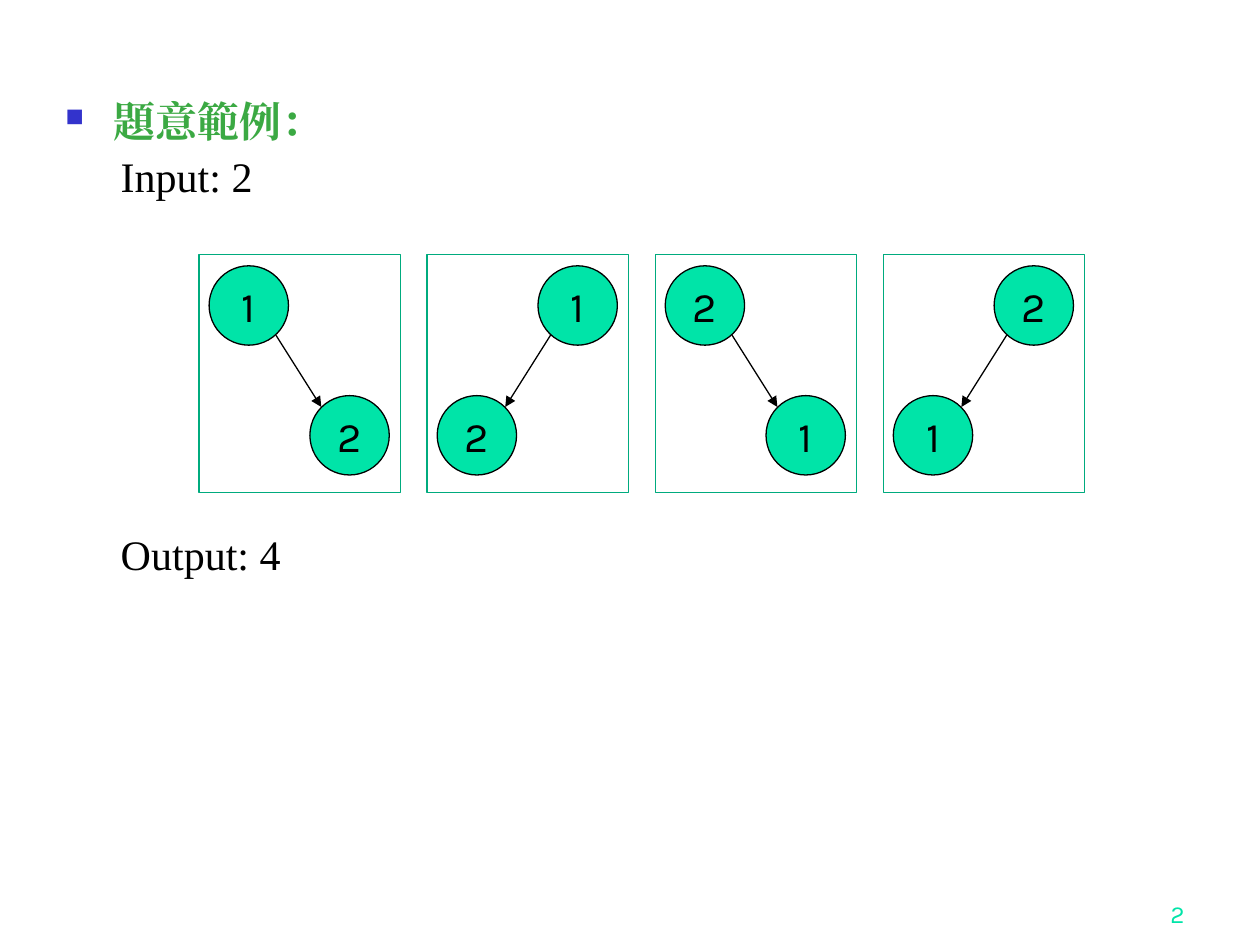
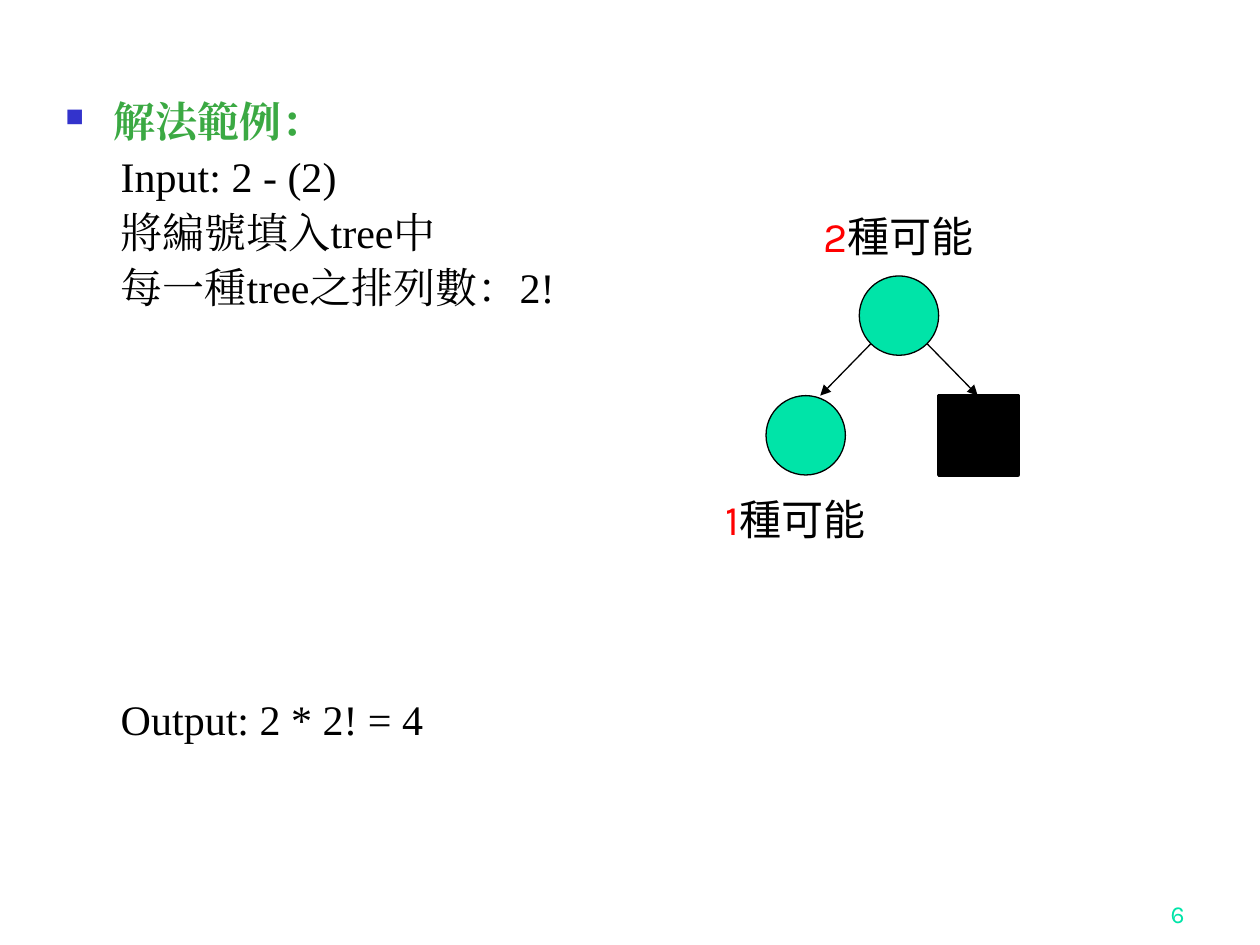
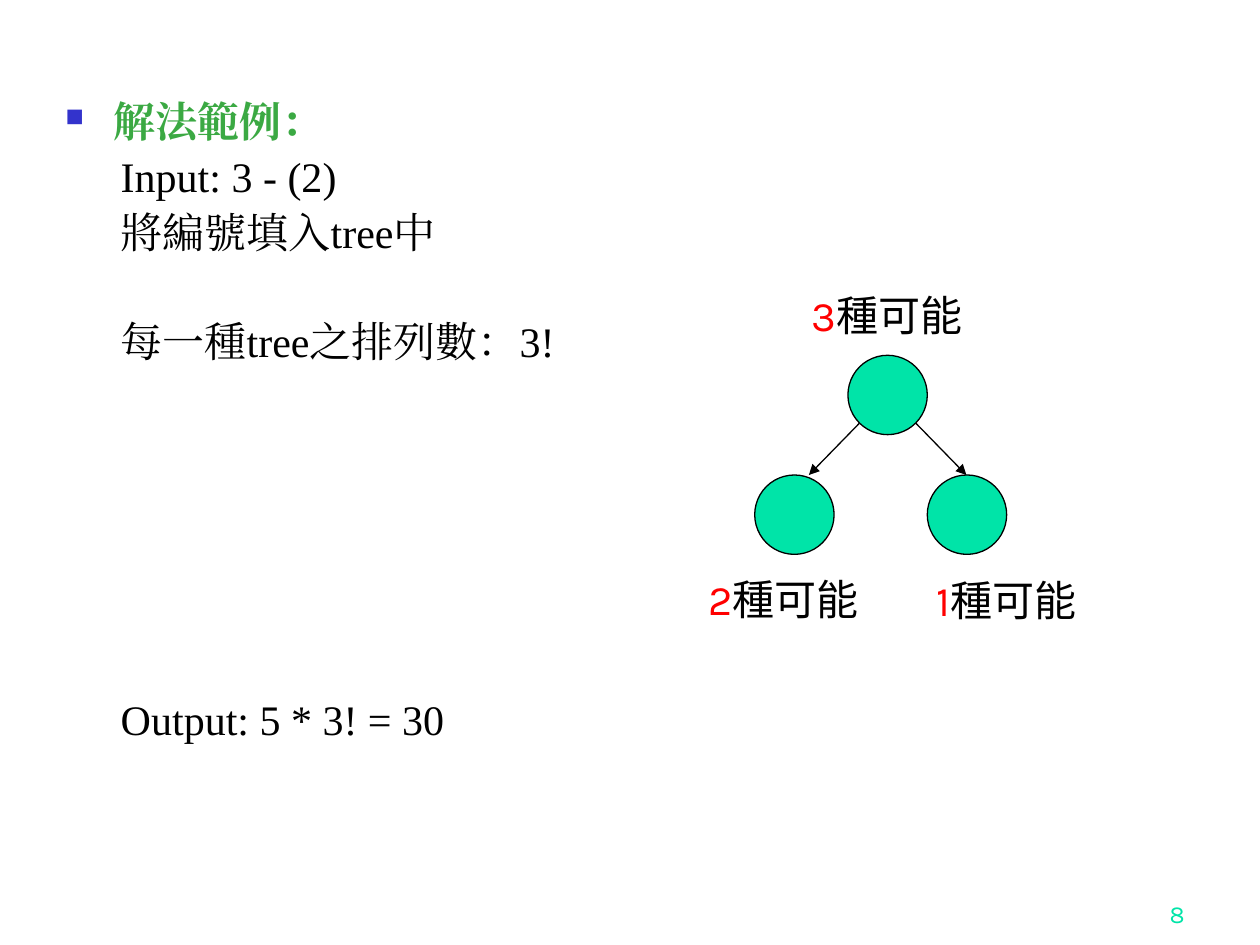
"""Build three slides that count labelled binary trees."""
from lxml.etree import SubElement
from pptx import Presentation
from pptx.dml.color import RGBColor
from pptx.enum.shapes import MSO_CONNECTOR, MSO_SHAPE
from pptx.enum.text import MSO_ANCHOR, PP_ALIGN
from pptx.oxml.ns import qn
from pptx.util import Inches, Pt

BLACK = RGBColor(0x00, 0x00, 0x00)
WHITE = RGBColor(0xFF, 0xFF, 0xFF)
RED = RGBColor(0xFF, 0x00, 0x00)
MINT = RGBColor(0x00, 0xE4, 0xA8)
TEAL = RGBColor(0x00, 0xAB, 0x7E)
HEADING_GREEN = RGBColor(0x3B, 0xA9, 0x43)
BULLET_BLUE = RGBColor(0x33, 0x33, 0xCC)

HEADING = {"name": "Times New Roman", "size": Pt(24), "bold": True, "color": HEADING_GREEN}
BODY = {"name": "Times New Roman", "size": Pt(24), "bold": False, "color": BLACK}
LABEL = {"name": "Karla", "size": Pt(24), "color": BLACK}
COUNT = {**LABEL, "color": RED}
PAGE_NUMBER = {"name": "Karla", "size": Pt(14), "color": MINT}

NODE_SIZE = 0.63
PANEL_PITCH = 1.81
NEAR_SIDE, FAR_SIDE = 0.08, 0.88
LINE_GAP, LINE_PITCH = 5.9, 30.7


def add_span(para, text, style):
    span = para.add_run()
    span.text = text
    for name, value in style.items():
        if name == "color":
            span.font.color.rgb = value
        else:
            setattr(span.font, name, value)
    SubElement(span.font._element, qn("a:ea"), typeface=style["name"])


def add_outline(page, kind, area, fill, line, weight=0.75):
    outline = page.shapes.add_shape(kind, *map(Inches, area))
    outline.shadow.inherit = False
    outline.fill.solid()
    outline.fill.fore_color.rgb = fill
    outline.line.color.rgb = line
    outline.line.width = Pt(weight)
    return outline


pages = [
    {"number": "2", "heading": "題意範例：",
     "lines": [(0, "Input: 2"), (6, "Output: 4")],
     "panels": [("1", "2", True), ("1", "2", False), ("2", "1", True), ("2", "1", False)]},
    {"number": "6", "heading": "解法範例：",
     "lines": [(0, "Input: 2 - (2)"), (0, "將編號填入tree中"),
               (0, "每一種tree之排列數：2!"), (7, "Output: 2 * 2! = 4")],
     "root": (6.82, 2.19), "counts": ["2", "1"]},
    {"number": "8", "heading": "解法範例：",
     "lines": [(0, "Input: 3 - (2)"), (0, "將編號填入tree中"),
               (1, "每一種tree之排列數：3!"), (6, "Output: 5 * 3! = 30")],
     "root": (6.73, 2.82), "counts": ["3", "2", "1"]},
]

deck = Presentation()
deck.slide_width, deck.slide_height = Inches(10), Inches(7.5)

for content in pages:
    page = deck.slides.add_slide(deck.slide_layouts[6])
    nodes, arrows = [], []

    for index, (root, child, leans_right) in enumerate(content.get("panels", [])):
        left = 1.58 + index * PANEL_PITCH
        add_outline(page, MSO_SHAPE.RECTANGLE, (left, 2.02, 1.6, 1.89), WHITE, TEAL)
        root_left = left + (NEAR_SIDE if leans_right else FAR_SIDE)
        child_left = left + (FAR_SIDE if leans_right else NEAR_SIDE)
        nodes += [(root_left, 2.11, root), (child_left, 3.14, child)]
        start, end = (0.53, 0.09) if leans_right else (0.1, 0.54)
        arrows.append((root_left + start, 2.66, child_left + end, 3.23))

    box = page.shapes.add_textbox(Inches(7.42), Inches(6.92), Inches(2.08), Inches(0.5))
    box.text_frame.word_wrap = True
    box.text_frame.vertical_anchor = MSO_ANCHOR.BOTTOM
    para = box.text_frame.paragraphs[0]
    para.alignment = PP_ALIGN.RIGHT
    add_span(para, content["number"], PAGE_NUMBER)

    box = page.shapes.add_textbox(Inches(0.42), Inches(0.75), Inches(8.83), Inches(6.15))
    box.text_frame.word_wrap = True
    para = box.text_frame.paragraphs[0]
    para.line_spacing = 0.9
    properties = para._p.get_or_add_pPr()
    properties.set("marL", str(Inches(0.38)))
    properties.set("indent", str(-Inches(0.38)))
    SubElement(SubElement(properties, qn("a:buClr")), qn("a:srgbClr"), val=str(BULLET_BLUE))
    SubElement(properties, qn("a:buSzPct"), val="60000")
    SubElement(properties, qn("a:buChar"), char="■")
    add_span(para, content["heading"], HEADING)
    for skipped, text in content["lines"]:
        para = box.text_frame.add_paragraph()
        para.line_spacing = 0.9
        para.space_before = Pt(LINE_GAP + skipped * LINE_PITCH)
        para._p.get_or_add_pPr().set("marL", str(Inches(0.44)))
        add_span(para, text, BODY)

    if "root" in content:
        left, top = content["root"]
        child_top = top + 0.95
        nodes += [(left, top, ""), (left - 0.74, child_top, "")]
        arrows += [(left + 0.54, top + 0.54, left + 0.94, child_top),
                   (left + 0.09, top + 0.54, left - 0.31, child_top)]
        if len(content["counts"]) == 3:
            nodes.append((left + NODE_SIZE, child_top, ""))
        else:
            add_outline(page, MSO_SHAPE.RECTANGLE,
                        (left + NODE_SIZE, child_top, NODE_SIZE, NODE_SIZE), BLACK, BLACK, 2)
        label_offsets = [(-0.88, -0.57), (-1.7, 1.68), (0.07, 1.69)]
        for count, (across, down) in zip(content["counts"], label_offsets):
            box = page.shapes.add_textbox(
                Inches(left + across), Inches(top + down), Inches(2.38), Inches(0.5))
            box.text_frame.word_wrap = True
            para = box.text_frame.paragraphs[0]
            para.alignment = PP_ALIGN.CENTER
            add_span(para, count, COUNT)
            add_span(para, "種可能", LABEL)

    for left, top, text in nodes:
        node = add_outline(page, MSO_SHAPE.OVAL, (left, top, NODE_SIZE, NODE_SIZE), MINT, BLACK)
        if text:
            node.text_frame.word_wrap = False
            para = node.text_frame.paragraphs[0]
            para.alignment = PP_ALIGN.CENTER
            add_span(para, text, LABEL)

    for ends in arrows:
        arrow = page.shapes.add_connector(MSO_CONNECTOR.STRAIGHT, *map(Inches, ends))
        arrow.line.color.rgb = BLACK
        arrow.line.width = Pt(0.75)
        SubElement(arrow.line._get_or_add_ln(), qn("a:tailEnd"), type="triangle")
        SubElement(arrow._element.spPr, qn("a:effectLst"))

deck.save("out.pptx")
